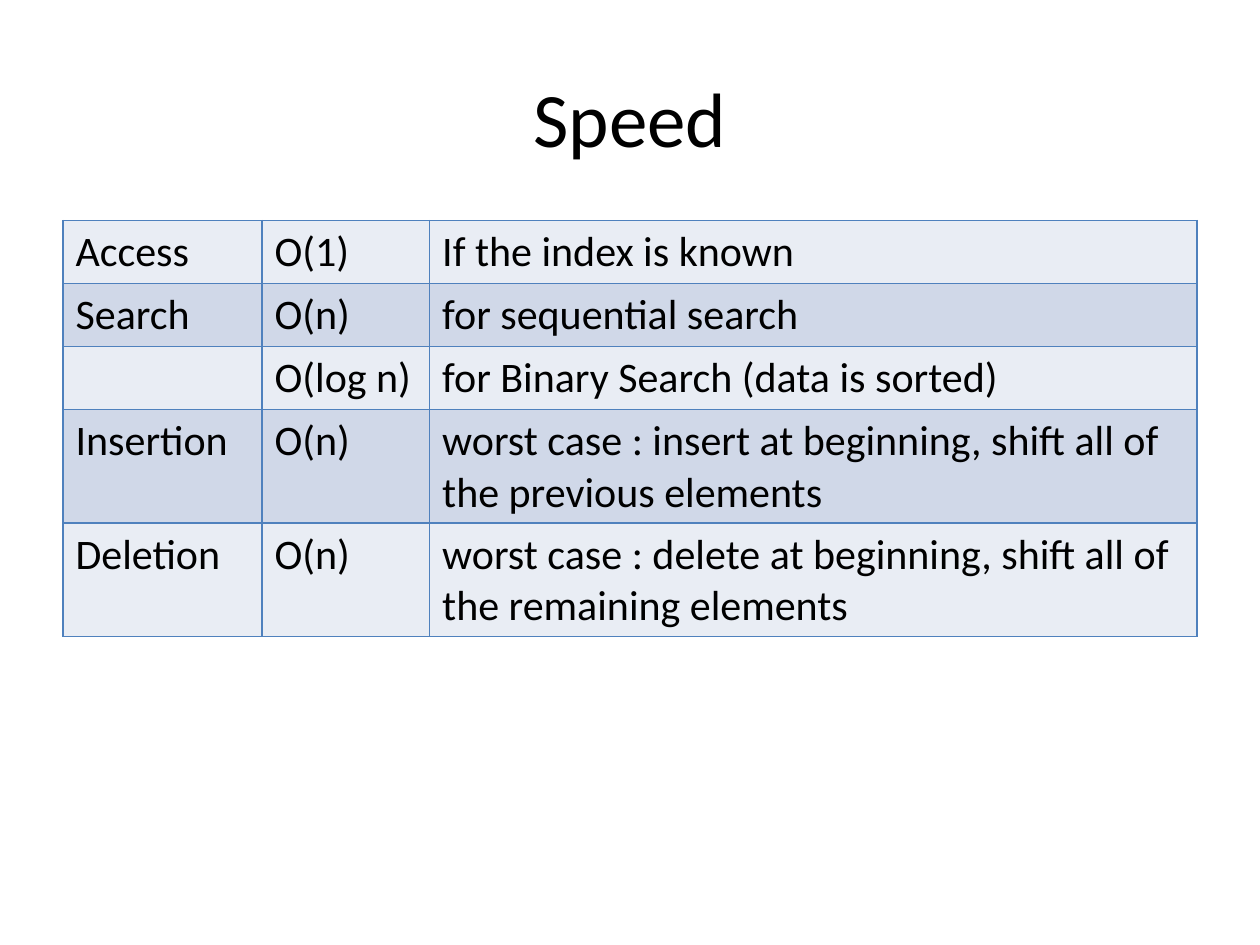
from lxml import etree
from pptx import Presentation
from pptx.dml.color import RGBColor
from pptx.enum.text import MSO_ANCHOR, PP_ALIGN
from pptx.oxml.ns import qn
from pptx.util import Inches, Pt

MIDDLE = MSO_ANCHOR.MIDDLE
LEFT = PP_ALIGN.LEFT
CENTER = PP_ALIGN.CENTER
BLACK = RGBColor(0x00, 0x00, 0x00)
BORDER_BLUE = RGBColor(0x4F, 0x81, 0xBD)
BAND_COLORS = (RGBColor(0xE9, 0xED, 0xF4), RGBColor(0xD0, 0xD8, 0xE8))

COLUMN_WIDTHS = (1.58, 1.33, 6.09)
ROW_HEIGHTS = (0.5, 0.5, 0.5, 0.9, 0.9)
SPEEDS = (
    ("Access", "O(1)", "If the index is known"),
    ("Search", "O(n)", "for sequential search"),
    ("", "O(log n)", "for Binary Search (data is sorted)"),
    ("Insertion", "O(n)",
     "worst case : insert at beginning, shift all of the previous elements"),
    ("Deletion", "O(n)",
     "worst case : delete at beginning, shift all of the remaining elements"),
)


class SlideBuilder:
    font = "Calibri"
    title_size = Pt(44)
    cell_size = Pt(24)

    def __init__(self, page):
        self.page = page

    def set_text(self, frame, text, size, align):
        frame.text = text
        for para in frame.paragraphs:
            para.alignment = align
            para.font.size = size
            for span in para.runs:
                span.font.name = self.font
                span.font.size = size
                span.font.color.rgb = BLACK

    def title(self, text, left, top, width, height):
        box = self.page.shapes.add_textbox(
            Inches(left), Inches(top), Inches(width), Inches(height))
        frame = box.text_frame
        frame.word_wrap = True
        frame.vertical_anchor = MIDDLE
        self.set_text(frame, text, self.title_size, CENTER)

    def border(self, cell):
        properties = cell._tc.get_or_add_tcPr()
        for side in ("lnL", "lnR", "lnT", "lnB"):
            line = etree.SubElement(properties, qn(f"a:{side}"), w=str(Pt(1)))
            fill = etree.SubElement(line, qn("a:solidFill"))
            etree.SubElement(fill, qn("a:srgbClr"), val=str(BORDER_BLUE))

    def table(self, rows, left, top, widths, heights):
        table = self.page.shapes.add_table(
            len(rows), len(widths), Inches(left), Inches(top),
            Inches(sum(widths)), Inches(sum(heights))).table
        table.first_row = False
        for column, width in zip(table.columns, widths):
            column.width = Inches(width)
        for index, (row, height) in enumerate(zip(table.rows, heights)):
            row.height = Inches(height)
            for cell, text in zip(row.cells, rows[index]):
                self.border(cell)
                cell.fill.solid()
                cell.fill.fore_color.rgb = BAND_COLORS[index % 2]
                self.set_text(cell.text_frame, text, self.cell_size, LEFT)


deck = Presentation()
deck.slide_width = Inches(10)
deck.slide_height = Inches(7.5)
builder = SlideBuilder(deck.slides.add_slide(deck.slide_layouts[6]))
builder.title("Speed", 0.5, 0.3, 9, 1.25)
builder.table(SPEEDS, 0.5, 1.75, COLUMN_WIDTHS, ROW_HEIGHTS)
deck.save("out.pptx")
